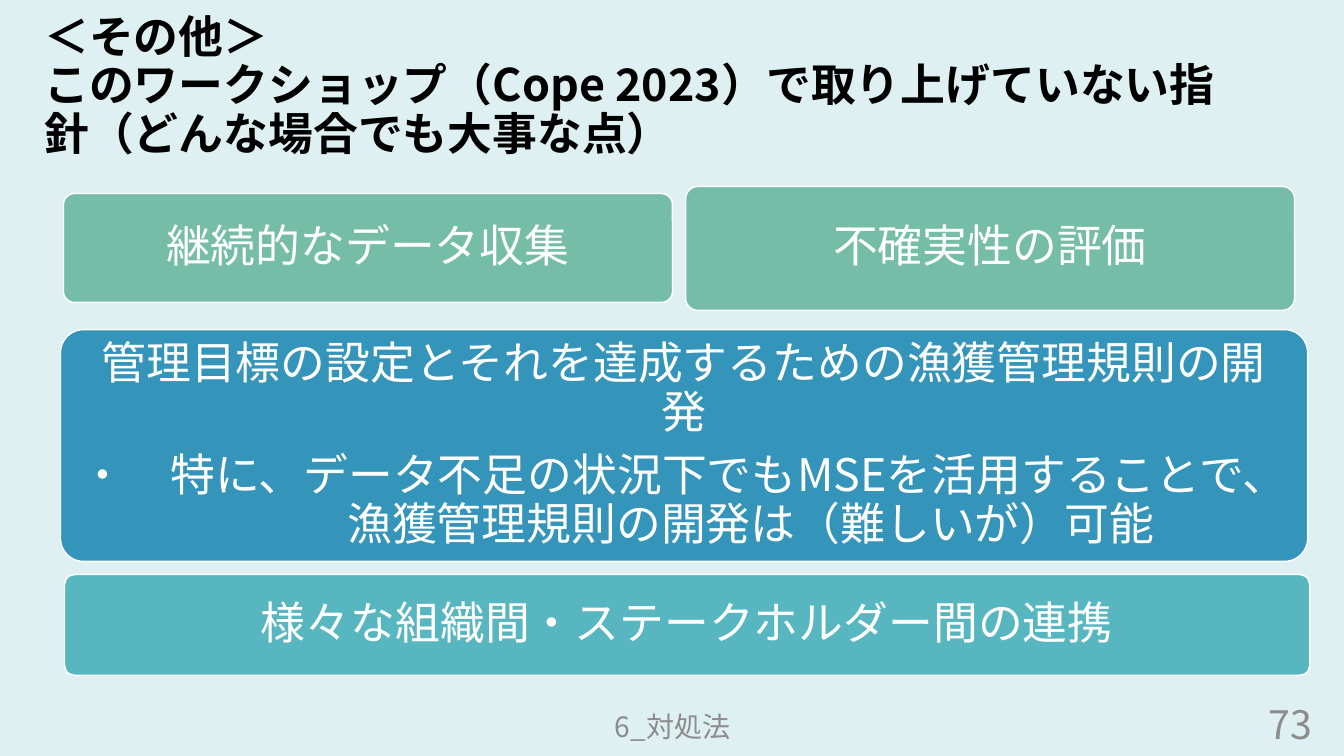
from pptx import Presentation
from pptx.dml.color import RGBColor as RGB
from pptx.enum.lang import MSO_LANGUAGE_ID as LANG
from pptx.enum.shapes import MSO_SHAPE as SHAPE
from pptx.enum.text import MSO_ANCHOR as ANCHOR, PP_ALIGN as ALIGN
from pptx.oxml.ns import qn
from pptx.util import Inches, Pt
from lxml.etree import SubElement

PALE = RGB(0xDE, 0xF0, 0xF2)
BLACK = RGB(0, 0, 0)
GRAY = RGB(0x8C, 0x8C, 0x8C)
WHITE = RGB(0xFF, 0xFF, 0xFF)
GREEN = RGB(0x75, 0xBD, 0xA7)
BLUE = RGB(0x34, 0x94, 0xBA)
TEAL = RGB(0x58, 0xB6, 0xC0)


class Deck:
    """Hold the text style and the current slide, and draw its elements."""

    font = "Noto Sans CJK JP"
    size = 32
    inset = 0.13
    gap = 11

    def __init__(self):
        self.prs = Presentation()
        self.prs.slide_width = Inches(13.33)
        self.prs.slide_height = Inches(7.5)
        self.slide = self.prs.slides.add_slide(self.prs.slide_layouts[6])
        fill = self.slide.background.fill
        fill.solid()
        fill.fore_color.rgb = PALE

    def run(self, para, text, color, size, bold=False):
        run = para.add_run()
        run.text = text
        font = run.font
        font.name, font.size, font.bold = self.font, Pt(size), bold
        font.color.rgb = color
        font.language_id = LANG.JAPANESE
        east = SubElement(run._r.get_or_add_rPr(), qn("a:ea"))
        east.set("typeface", self.font)

    def label(self, box, lines, color, size, align, bold=False):
        frame = self.slide.shapes.add_textbox(*map(Inches, box)).text_frame
        frame.word_wrap = True
        frame.vertical_anchor = ANCHOR.MIDDLE
        para = frame.paragraphs[0]
        para.alignment = align
        para.line_spacing = 0.9 if bold else 1.0
        for i, line in enumerate(lines):
            if i:
                para.add_line_break()
            self.run(para, line, color, size, bold)

    def card(self, box, fill, items):
        """Draw a rounded card; each item is text, left indent and space after."""
        card = self.slide.shapes.add_shape(SHAPE.ROUNDED_RECTANGLE, *map(Inches, box))
        card.adjustments[0] = 0.1
        card.shadow.inherit = False
        card.fill.solid()
        card.fill.fore_color.rgb = fill
        card.line.color.rgb = WHITE
        card.line.width = Pt(1)
        frame = card.text_frame
        frame.word_wrap = True
        frame.vertical_anchor = ANCHOR.MIDDLE
        frame.margin_left = frame.margin_right = Inches(self.inset)
        frame.margin_top = frame.margin_bottom = Inches(self.inset)
        for i, (text, left, after) in enumerate(items):
            para = frame.add_paragraph() if i else frame.paragraphs[0]
            para.alignment = ALIGN.CENTER
            para.line_spacing = 0.9
            para.space_after = Pt(after)
            if left:
                para._p.get_or_add_pPr().set("marL", str(Inches(left)))
            self.run(para, text, WHITE, self.size)

    def save(self):
        self.prs.save("out.pptx")


def main():
    deck = Deck()
    deck.label((0.34, 0.31, 12.08, 1.11),
               ["＜その他＞",
                "このワークショップ（Cope 2023）で取り上げていない指針（どんな場合でも大事な点）"],
               BLACK, deck.size, ALIGN.LEFT, bold=True)
    deck.label((4.42, 7.01, 4.5, 0.4), ["6_対処法"], GRAY, 20, ALIGN.CENTER)
    deck.label((9.42, 6.95, 3.69, 0.46), ["73"], GRAY, 28, ALIGN.RIGHT)

    gap = deck.gap
    cards = [
        ((0.6, 3.27, 12.37, 2.3), BLUE, [
            ("管理目標の設定とそれを達成するための漁獲管理規則の開発", 0, gap),
            ("・　特に、データ不足の状況下でもMSEを活用することで、", 0, 0),
            ("漁獲管理規則の開発は（難しいが）可能", 1.33, gap)]),
        ((0.64, 5.7, 12.35, 1), TEAL, [("様々な組織間・ステークホルダー間の連携", 0, gap)]),
        ((0.63, 1.92, 6.04, 1.08), GREEN, [("継続的なデータ収集", 0, gap)]),
        ((6.8, 1.85, 6.04, 1.23), GREEN, [("不確実性の評価", 0, gap)]),
    ]
    for box, fill, items in cards:
        deck.card(box, fill, items)
    deck.save()


if __name__ == "__main__":
    main()
